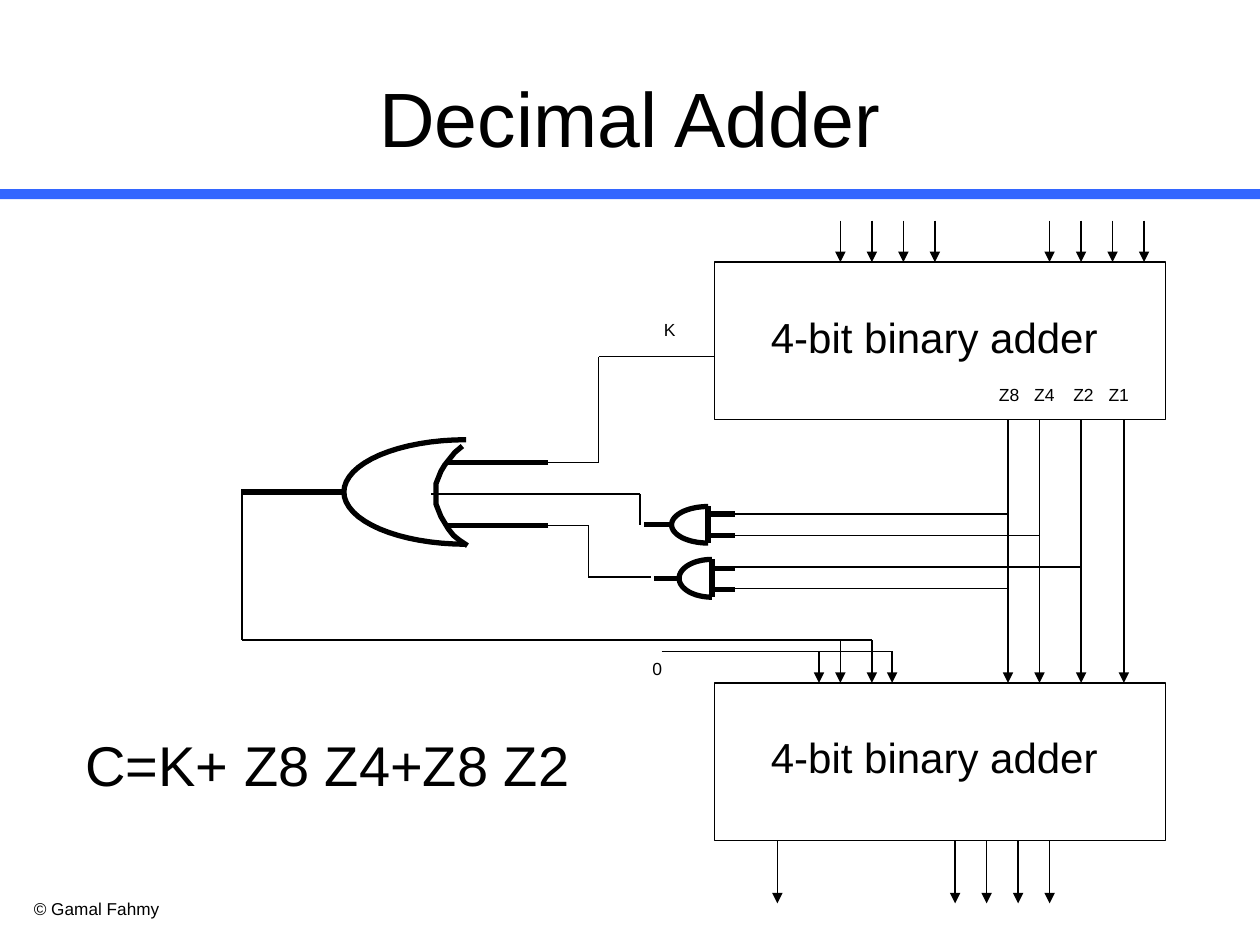
from itertools import pairwise
from math import cos, pi, sin

from lxml import etree
from pptx import Presentation
from pptx.dml.color import RGBColor
from pptx.enum.shapes import MSO_CONNECTOR, MSO_SHAPE
from pptx.enum.text import MSO_ANCHOR, PP_ALIGN
from pptx.oxml.ns import qn
from pptx.util import Inches, Pt

STRAIGHT = MSO_CONNECTOR.STRAIGHT
RECTANGLE = MSO_SHAPE.RECTANGLE
LEFT, CENTER = PP_ALIGN.LEFT, PP_ALIGN.CENTER
MIDDLE = MSO_ANCHOR.MIDDLE

FONT = "Arial"
BLACK, WHITE, BLUE = "000000", "FFFFFF", "3366FF"
THIN, THICK = 0.75, 3

TITLE = "Decimal Adder"
ADDER_TEXT = "4-bit binary adder"
ADDER_LEFT, ADDER_WIDTH, ADDER_HEIGHT = 5.67, 3.58, 1.25
ADDER_TOPS = [2.08, 5.42]

# text, left, top, width, height, size
LABELS = [
    ("© Gamal Fahmy", 0.17, 7.08, 2.17, 0.27, 9.8),
    ("0", 5.08, 5.17, 0.33, 0.27, 10),
    ("K", 5.17, 2.48, 0.33, 0.27, 10),
    ("C=K+ Z8 Z4+Z8 Z2", 0.58, 5.75, 4.33, 0.64, 32),
]
SUM_BITS = ["Z8", "Z4", "Z2", "Z1"]
SUM_TABS = [0.28, 0.59, 0.87]

# x positions, top, bottom
ARROWS = [
    ([6.67, 6.92, 7.17, 7.42, 8.33, 8.58, 8.83, 9.08], 1.75, 2.08),
    ([8, 8.25, 8.58, 8.92], 3.33, 5.42),
    ([6.67, 6.92], 5.08, 5.42),
    ([6.5, 7.08], 5.17, 5.42),
    ([6.17, 7.58, 7.83, 8.08, 8.33], 6.67, 7.17),
]
WIRES = [
    [(5.83, 4.08), (8, 4.08)],
    [(5.83, 4.25), (8.25, 4.25)],
    [(5.83, 4.5), (8.58, 4.5)],
    [(5.83, 4.67), (8, 4.67)],
    [(4.33, 3.67), (4.75, 3.67), (4.75, 2.83), (5.67, 2.83)],
    [(4.33, 4.17), (4.67, 4.17), (4.67, 4.58), (5.17, 4.58)],
    [(3.42, 3.92), (5.08, 3.92), (5.08, 4.17)],
    [(1.92, 3.92), (1.92, 5.08), (6.92, 5.08)],
    [(5.25, 5.17), (7.08, 5.17)],
]

# Each gate opens to the right: tip and back are x, the leads are y
AND_GATES = [
    dict(tip=5.33, back=5.62, top=4.02, bottom=4.31, out=5.11, leads=[4.08, 4.25]),
    dict(tip=5.39, back=5.65, top=4.44, bottom=4.74, out=5.19, leads=[4.51, 4.68]),
]
AND_LEAD_END = 5.83
OR_GATE = dict(tip=2.73, back=3.7, top=3.49, bottom=4.32, out=1.91, leads=[3.67, 4.17])
OR_LEAD_START, OR_LEAD_END = 3.55, 4.35
OR_BACK = [
    (3.71, 4.33), (3.65, 4.29), (3.6, 4.25), (3.56, 4.2), (3.53, 4.15), (3.5, 4.1),
    (3.48, 4.05), (3.46, 4), (3.46, 3.84), (3.48, 3.79), (3.5, 3.74), (3.53, 3.69),
    (3.57, 3.64), (3.61, 3.59), (3.67, 3.54),
]


def rgb(color):
    return RGBColor.from_string(color)


def add_line(page, start, end, weight=THIN, arrow=False):
    line = page.shapes.add_connector(STRAIGHT, *map(Inches, (*start, *end)))
    line.line.color.rgb = rgb(BLACK)
    line.line.width = Pt(weight)
    properties = line._element.spPr
    if arrow:
        etree.SubElement(properties.find(qn("a:ln")), qn("a:tailEnd"), type="triangle")
    etree.SubElement(properties, qn("a:effectLst"))


def add_curve(page, points, fill=None):
    """Draw an open thick outline through the points."""
    corners = [(Inches(x), Inches(y)) for x, y in points]
    builder = page.shapes.build_freeform(*corners[0])
    builder.add_line_segments(corners[1:], close=False)
    curve = builder.convert_to_shape()
    curve.shadow.inherit = False
    if fill:
        curve.fill.solid()
        curve.fill.fore_color.rgb = rgb(fill)
    else:
        curve.fill.background()
    curve.line.color.rgb = rgb(BLACK)
    curve.line.width = Pt(THICK)


def add_gate_body(page, gate, steps=32):
    """Draw the rounded nose of a gate and its output lead."""
    middle = (gate["top"] + gate["bottom"]) / 2
    width, radius = gate["back"] - gate["tip"], (gate["bottom"] - gate["top"]) / 2
    angles = [pi * step / steps for step in range(steps + 1)]
    add_curve(page, [(gate["back"] - width * sin(a), middle - radius * cos(a)) for a in angles])
    add_line(page, (gate["tip"], middle), (gate["out"], middle), THICK)


def add_leads(page, gate, start, end):
    for y in gate["leads"]:
        add_line(page, (end, y), (start, y), THICK)


def add_text(page, text, left, top, width, height, size, align=LEFT):
    box = page.shapes.add_textbox(*map(Inches, (left, top, width, height)))
    box.text_frame.word_wrap = True
    para = box.text_frame.paragraphs[0]
    para.text = text
    style(para, size, align)
    return para


def style(para, size, align):
    para.alignment = align
    para.font.name = FONT
    para.font.size = Pt(size)
    para.font.color.rgb = rgb(BLACK)


def add_rectangle(page, left, top, width, height, fill=None):
    """Add a filled bar, or an outlined box when there is no fill."""
    box = page.shapes.add_shape(RECTANGLE, *map(Inches, (left, top, width, height)))
    box.shadow.inherit = False
    if fill:
        box.fill.solid()
        box.fill.fore_color.rgb = rgb(fill)
        box.line.fill.background()
    else:
        box.fill.background()
        box.line.color.rgb = rgb(BLACK)
        box.line.width = Pt(THIN)


def main():
    deck = Presentation()
    deck.slide_width, deck.slide_height = Inches(10), Inches(7.5)
    page = deck.slides.add_slide(deck.slide_layouts[5])

    title = page.shapes.title
    title.left, title.top, title.width, title.height = map(Inches, (0.5, 0.3, 9, 1.25))
    title.text_frame.text = TITLE
    title.text_frame.vertical_anchor = MIDDLE
    style(title.text_frame.paragraphs[0], 44, CENTER)
    add_rectangle(page, 0, 1.5, 10, 0.08, BLUE)

    for top in ADDER_TOPS:
        add_rectangle(page, ADDER_LEFT, top, ADDER_WIDTH, ADDER_HEIGHT)
        add_text(page, ADDER_TEXT, 6, top + 0.34, 2.83, 0.5, 24, CENTER)

    for gate in AND_GATES:
        add_gate_body(page, gate)
        add_line(page, (gate["back"], gate["bottom"]), (gate["back"], gate["top"]), THICK)
        add_leads(page, gate, gate["back"], AND_LEAD_END)
    add_gate_body(page, OR_GATE)
    add_curve(page, OR_BACK, WHITE)
    add_leads(page, OR_GATE, OR_LEAD_START, OR_LEAD_END)

    for route in WIRES:
        for start, end in pairwise(route):
            add_line(page, start, end)
    for columns, top, bottom in ARROWS:
        for x in columns:
            add_line(page, (x, top), (x, bottom), arrow=True)

    for label in LABELS:
        add_text(page, *label)
    bits = add_text(page, "\t".join(SUM_BITS), 7.83, 3, 1.33, 0.27, 10)
    tabs = etree.Element(qn("a:tabLst"))
    for stop in SUM_TABS:
        etree.SubElement(tabs, qn("a:tab"), pos=str(Inches(stop)), algn="l")
    bits._p.get_or_add_pPr().insert(0, tabs)

    deck.save("out.pptx")


if __name__ == "__main__":
    main()
